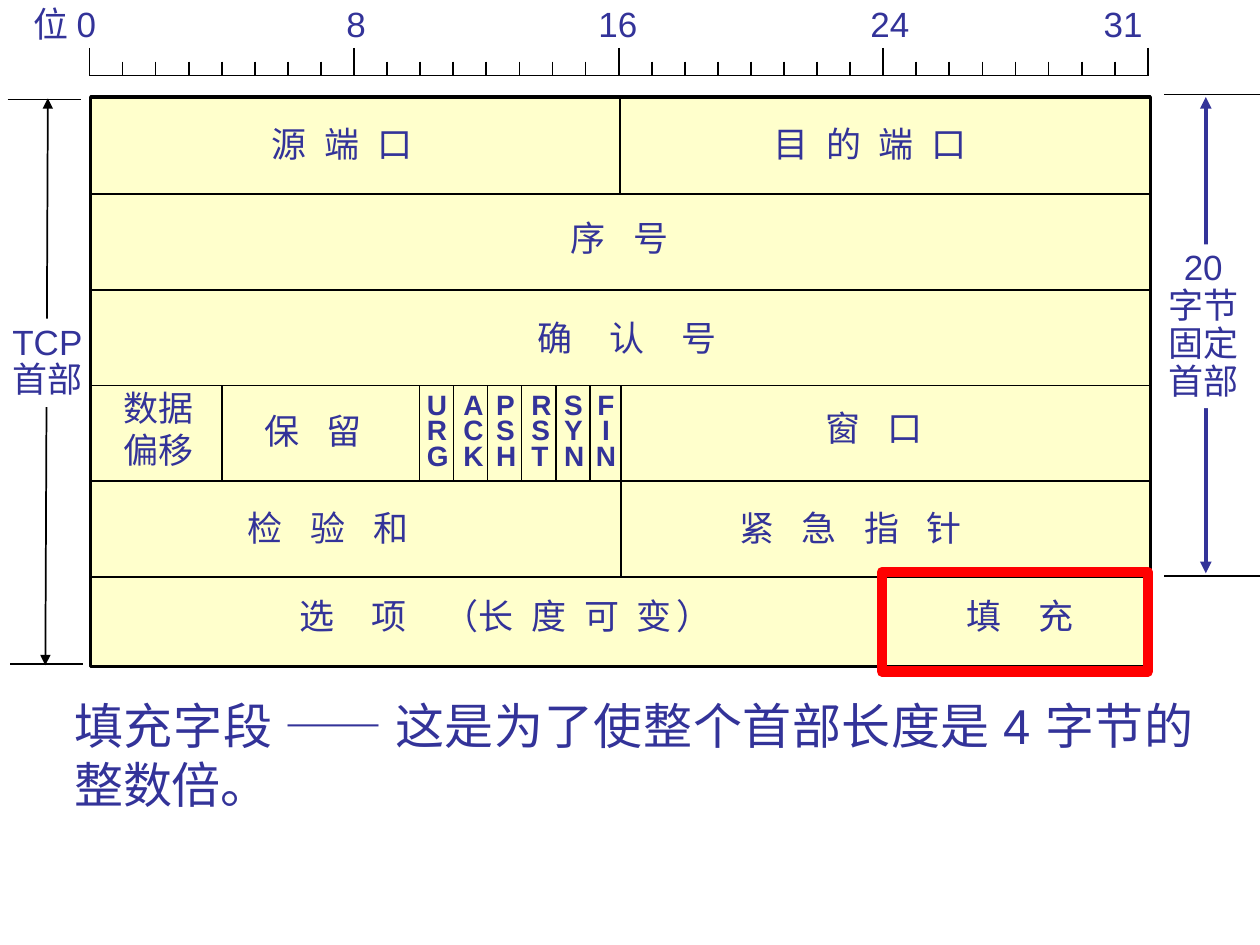
from lxml import etree
from pptx import Presentation
from pptx.dml.color import RGBColor
from pptx.enum.shapes import MSO_CONNECTOR, MSO_SHAPE
from pptx.enum.text import MSO_AUTO_SIZE, PP_ALIGN
from pptx.oxml.ns import qn
from pptx.util import Inches, Pt

BLACK = RGBColor(0, 0, 0)
WHITE = RGBColor(255, 255, 255)
NAVY = RGBColor(0x33, 0x33, 0x99)
CREAM = RGBColor(0xFF, 0xFF, 0xCC)
RED = RGBColor(255, 0, 0)

LEFT, TOP, WIDTH, HEIGHT = 0.72, 0.77, 8.41, 4.52
RIGHT = LEFT + WIDTH
ROW_HEIGHT = 0.76
ROWS = [1.54 + ROW_HEIGHT * i for i in range(5)]
RULER_LEFT, RULER_BOTTOM, BIT = 0.71, 0.6, 8.4 / 32
FLAG_LEFT, FLAG_PITCH = 3.33, 0.27

FIELDS = [
    (2.06, 0.92, 1.59, [("源 端 口", 2.8)]),
    (6.04, 0.92, 2.15, [("目 的 端 口", 2.8)]),
    (4.43, 1.67, 1.51, [("序 号", 5.6)]),
    (4.17, 2.46, 2.01, [("确 认 号", 8.3)]),
    (2.0, 3.2, 1.17, [("保 留", 5.6)]),
    (6.45, 3.18, 1.17, [("窗 口", 5.6)]),
    (1.87, 3.97, 1.87, [("检 验 和", 5.6)]),
    (5.77, 3.97, 2.56, [("紧 急 指 针", 5.6)]),
    (2.28, 4.67, 4, [("选 项 ", 8.3), ("（", 0), ("长 度 可 变", 2.8), ("）", 0)]),
    (7.57, 4.67, 1.37, [("填 充", 8.3)]),
]
FLAGS = [
    ("URG", 3.29, PP_ALIGN.LEFT),
    ("ACK", 3.58, PP_ALIGN.LEFT),
    ("PSH", 3.84, PP_ALIGN.LEFT),
    ("RST", 4.12, PP_ALIGN.LEFT),
    ("SYN", 4.38, PP_ALIGN.LEFT),
    ("FIN", 4.63, PP_ALIGN.CENTER),
]
SCALE_TABS = [2.48, 4.48, 6.64, 8.49]


def add_line(slide, x1, y1, x2, y2, color=BLACK, width=1, arrows=False):
    line = slide.shapes.add_connector(
        MSO_CONNECTOR.STRAIGHT, Inches(x1), Inches(y1), Inches(x2), Inches(y2))
    line.line.color.rgb = color
    line.line.width = Pt(width)
    if arrows:
        outline = line.line._get_or_add_ln()
        for end in ("a:headEnd", "a:tailEnd"):
            etree.SubElement(outline, qn(end), type="triangle")
    etree.SubElement(line._element.spPr, qn("a:effectLst"))


def add_box(slide, left, top, width, height, color, line_width, fill=None):
    shape = slide.shapes.add_shape(
        MSO_SHAPE.RECTANGLE, Inches(left), Inches(top), Inches(width), Inches(height))
    shape.shadow.inherit = False
    if fill is None:
        shape.fill.background()
    else:
        shape.fill.solid()
        shape.fill.fore_color.rgb = fill
    shape.line.color.rgb = color
    shape.line.width = Pt(line_width)


def add_text(slide, left, top, width, height, paragraphs, size=20, bold=False,
             align=PP_ALIGN.LEFT, line_spacing=None, wrap=True, fill=None, tabs=()):
    shape = slide.shapes.add_textbox(
        Inches(left), Inches(top), Inches(width), Inches(height))
    if fill is not None:
        shape.fill.solid()
        shape.fill.fore_color.rgb = fill
    frame = shape.text_frame
    frame.word_wrap = wrap
    frame.auto_size = MSO_AUTO_SIZE.SHAPE_TO_FIT_TEXT
    font_format = {"name": "Arial", "size": Pt(size), "bold": bold}
    for index, runs in enumerate(paragraphs):
        paragraph = frame.add_paragraph() if index else frame.paragraphs[0]
        paragraph.alignment = align
        paragraph.line_spacing = line_spacing
        if tabs:
            tab_list = etree.SubElement(paragraph._p.get_or_add_pPr(), qn("a:tabLst"))
            for tab in tabs:
                etree.SubElement(tab_list, qn("a:tab"), pos=str(Inches(tab)), algn="l")
        for text, spacing in runs:
            run = paragraph.add_run()
            run.text = text
            for name, value in font_format.items():
                setattr(run.font, name, value)
            run.font.color.rgb = NAVY
            if spacing:
                run._r.get_or_add_rPr().set("spc", str(round(spacing * 100)))


def add_stack(slide, left, top, width, height, lines, **options):
    add_text(slide, left, top, width, height,
             [[(line, 0)] for line in lines], wrap=False, **options)


def add_ruler(slide):
    add_line(slide, RULER_LEFT, RULER_BOTTOM, RULER_LEFT + 32 * BIT, RULER_BOTTOM)
    for bit in range(33):
        x = RULER_LEFT + bit * BIT
        add_line(slide, x, 0.49 if bit % 8 else 0.38, x, RULER_BOTTOM)
    add_text(slide, 0.17, -0.03, 9.11, 0.43,
             [[("位 0\t8\t16\t24\t31", 0)]], tabs=SCALE_TABS)


def add_brackets(slide):
    add_line(slide, 0.38, 0.78, 0.36, 5.28, arrows=True)
    add_stack(slide, 0, 2.53, 0.76, 0.7, ["TCP", "首部"], line_spacing=0.9, fill=WHITE)
    add_line(slide, 9.57, 0.77, 9.57, 4.55, NAVY, 2.25, arrows=True)
    add_stack(slide, 9.17, 1.94, 0.76, 1.3, ["20", "字节", "固定", "首部"],
              align=PP_ALIGN.CENTER, line_spacing=0.9, fill=WHITE)
    for x1, x2, y in [(0.06, 0.64, 0.79), (0.08, 0.66, 5.27),
                      (9.24, 10, 0.75), (9.24, 10, 4.57)]:
        add_line(slide, x1, y, x2, y)


def add_header_grid(slide):
    add_box(slide, LEFT, TOP, WIDTH, HEIGHT, BLACK, 2, CREAM)
    for y in ROWS:
        add_line(slide, LEFT, y, RIGHT, y)
    for x, y1, y2 in [(4.92, TOP, ROWS[0]), (4.93, ROWS[2], ROWS[4]),
                      (1.76, ROWS[2], ROWS[3]), (7, ROWS[4], TOP + HEIGHT)]:
        add_line(slide, x, y1, x, y2)
    for index in range(len(FLAGS)):
        x = FLAG_LEFT + index * FLAG_PITCH
        add_line(slide, x, ROWS[2], x, ROWS[3])


def add_field_names(slide):
    for left, top, width, runs in FIELDS:
        add_text(slide, left, top, width, 0.43, [runs])
    add_stack(slide, 0.88, 3.02, 0.76, 0.76, ["数据", "偏移"])
    for flag, left, align in FLAGS:
        add_stack(slide, left, 3.09, 0.36, 0.7, flag, size=16, bold=True,
                  align=align, line_spacing=0.75)


def main():
    presentation = Presentation()
    presentation.slide_width = Inches(10)
    presentation.slide_height = Inches(7.5)
    slide = presentation.slides.add_slide(presentation.slide_layouts[6])
    add_brackets(slide)
    add_header_grid(slide)
    add_field_names(slide)
    add_ruler(slide)
    add_box(slide, 7, 4.54, 2.11, 0.79, RED, 6)
    add_text(slide, 0.49, 5.47, 9.08, 1.04,
             [[("填充字段 —— 这是为了使整个首部长度是 4 字节的整数倍。", 0)]],
             size=28, align=PP_ALIGN.JUSTIFY)
    presentation.save("out.pptx")


if __name__ == "__main__":
    main()
